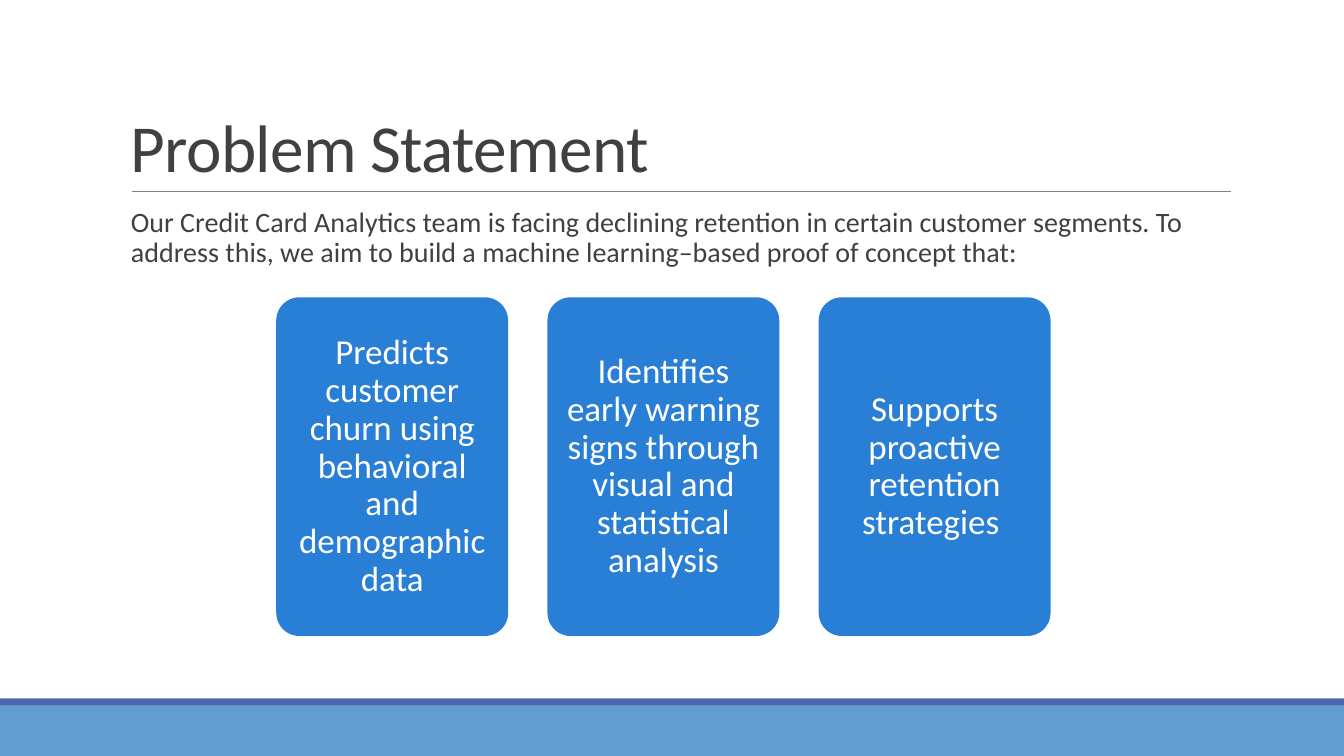
from pptx import Presentation
from pptx.dml.color import RGBColor
from pptx.enum.shapes import MSO_CONNECTOR, MSO_SHAPE
from pptx.enum.text import MSO_ANCHOR, PP_ALIGN
from pptx.oxml.ns import qn
from pptx.util import Inches, Pt
from lxml import etree

RECT, ROUND_RECT = MSO_SHAPE.RECTANGLE, MSO_SHAPE.ROUNDED_RECTANGLE
STRAIGHT = MSO_CONNECTOR.STRAIGHT
TOP, MIDDLE, BOTTOM = MSO_ANCHOR.TOP, MSO_ANCHOR.MIDDLE, MSO_ANCHOR.BOTTOM
LEFT, CENTER = PP_ALIGN.LEFT, PP_ALIGN.CENTER


def rgb(value):
    return RGBColor.from_string(value)


def write(tf, text, size=20, color="404040", align=LEFT, anchor=TOP,
          line_spacing=0.9, spacing=None, margins=(0.1, 0.05)):
    tf.word_wrap = True
    tf.vertical_anchor = anchor
    tf.margin_left = tf.margin_right = Inches(margins[0])
    tf.margin_top = tf.margin_bottom = Inches(margins[1])
    p = tf.paragraphs[0]
    p.alignment = align
    p.line_spacing = line_spacing
    r = p.add_run()
    r.text = text
    r.font.name = SlideBuilder.FONT
    r.font.size = Pt(size)
    r.font.color.rgb = rgb(color)
    if spacing is not None:
        r.font._element.set("spc", str(int(spacing * 100)))


class SlideBuilder:
    FONT = "Calibri"
    BAND, STRIPE, CARD = "629DD1", "4A66AC", "297FD5"
    RULE, WHITE = "808080", "FFFFFF"

    def __init__(self, prs):
        self.s = prs.slides.add_slide(prs.slide_layouts[6])

    def shape(self, kind, x, y, w, h, fill):
        sp = self.s.shapes.add_shape(kind, Inches(x), Inches(y), Inches(w), Inches(h))
        sp.shadow.inherit = False
        sp.fill.solid()
        sp.fill.fore_color.rgb = rgb(fill)
        sp.line.fill.background()
        return sp

    def rule(self, x1, x2, y):
        line = self.s.shapes.add_connector(
            STRAIGHT, Inches(x1), Inches(y), Inches(x2), Inches(y))
        line.line.color.rgb = rgb(self.RULE)
        line.line.width = Pt(0.5)
        etree.SubElement(line._element.spPr, qn("a:effectLst"))

    def text(self, x, y, w, h, text, **fmt):
        box = self.s.shapes.add_textbox(Inches(x), Inches(y), Inches(w), Inches(h))
        write(box.text_frame, text, **fmt)

    def card(self, x, y, w, h, text):
        sp = self.shape(ROUND_RECT, x, y, w, h, self.CARD)
        sp.adjustments[0] = 0.1
        write(sp.text_frame, text, size=25, color=self.WHITE, align=CENTER,
              anchor=MIDDLE, margins=(0.1, 0.1))


def main():
    prs = Presentation()
    prs.slide_width, prs.slide_height = Inches(13.33), Inches(7.5)
    slide = SlideBuilder(prs)

    # Footer band and title rule
    slide.shape(RECT, 0, 7, 13.33, 0.5, slide.BAND)
    slide.shape(RECT, 0, 6.93, 13.33, 0.07, slide.STRIPE)
    slide.rule(1.31, 12.21, 1.9)

    # Title and introduction
    slide.text(1.2, 0.31, 11, 1.59, "Problem Statement", size=48,
               anchor=BOTTOM, line_spacing=0.85, spacing=-0.5)
    slide.text(1.2, 2.02, 11, 0.8,
               "Our Credit Card Analytics team is facing declining retention in "
               "certain customer segments. To address this, we aim to build a "
               "machine learning–based proof of concept that:")

    # Goal cards
    goals = [
        "Predicts customer churn using behavioral and demographic data",
        "Identifies early warning signs through visual and statistical analysis",
        "Supports proactive retention strategies ",
    ]
    for i, goal in enumerate(goals):
        slide.card(2.74 + i * 2.69, 2.95, 2.3, 3.36, goal)

    prs.save("out.pptx")


if __name__ == "__main__":
    main()
